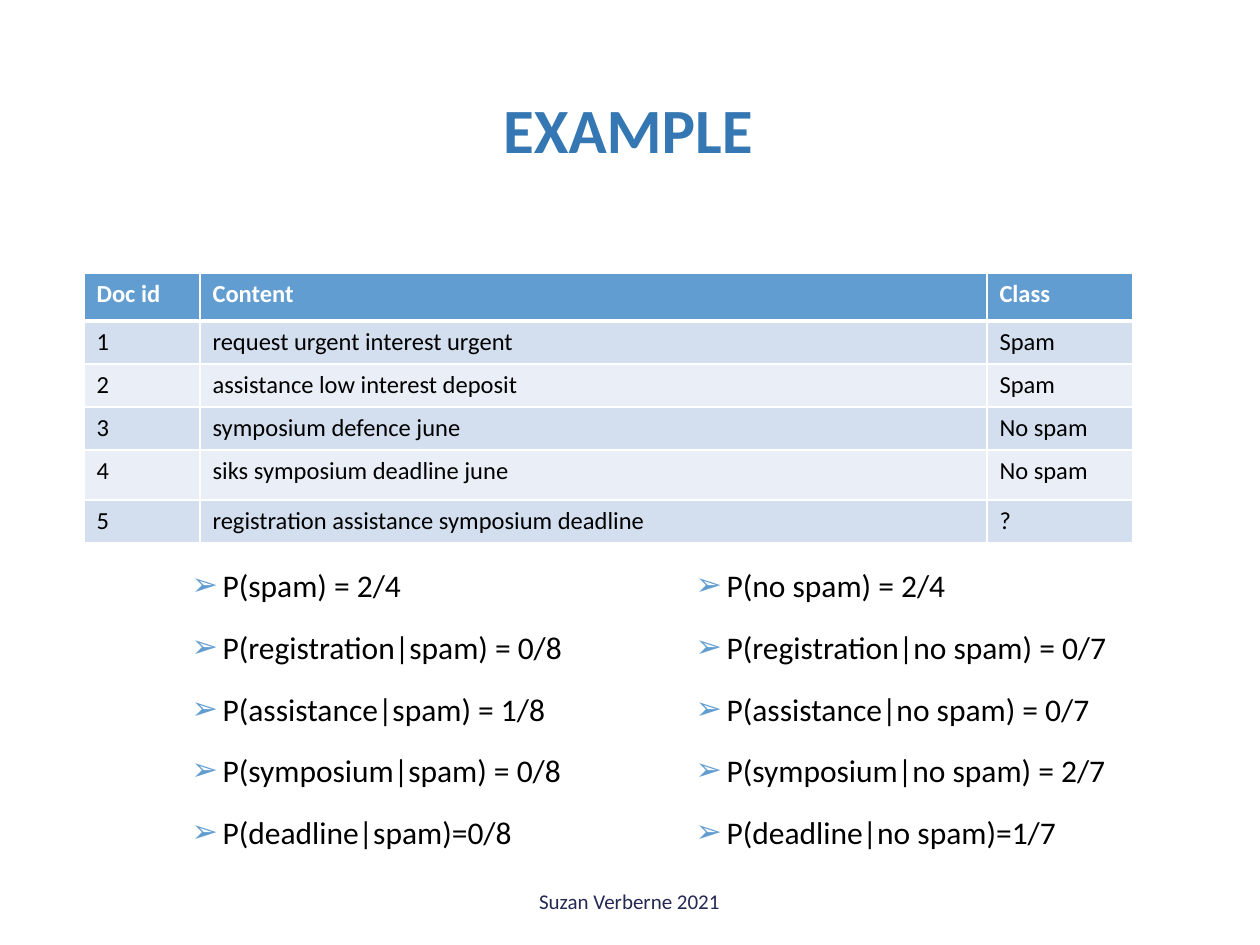
from lxml import etree
from pptx import Presentation
from pptx.dml.color import RGBColor
from pptx.enum.shapes import MSO_SHAPE
from pptx.enum.text import MSO_ANCHOR, MSO_AUTO_SIZE, PP_ALIGN
from pptx.oxml.ns import qn
from pptx.util import Emu, Pt

CENTER, LEFT = PP_ALIGN.CENTER, PP_ALIGN.LEFT
MIDDLE, TOP = MSO_ANCHOR.MIDDLE, MSO_ANCHOR.TOP
NO_AUTOFIT = MSO_AUTO_SIZE.NONE
RECTANGLE, ROUNDED = MSO_SHAPE.RECTANGLE, MSO_SHAPE.ROUNDED_RECTANGLE

PX = 914400 / 126
TWO_CONTENT_LAYOUT = 3
FIRST_SHAPE_POSITION = 2
FONT = "Calibri"
COLORS = {
    "title": "3477B2",
    "accent": "629DD1",
    "band_dark": "D3DFEE",
    "band_light": "EAEFF7",
    "text": "000000",
    "white": "FFFFFF",
    "footer": "242852",
}

DOCUMENTS = [
    ("Doc id", "Content", "Class"),
    ("1", "request urgent interest urgent", "Spam"),
    ("2", "assistance low interest deposit", "Spam"),
    ("3", "symposium defence june", "No spam"),
    ("4", "siks symposium deadline june", "No spam"),
    ("5", "registration assistance symposium deadline", "?"),
]
SPAM_PROBABILITIES = [
    "P(spam) = 2/4",
    "P(registration|spam) = 0/8",
    "P(assistance|spam) = 1/8",
    "P(symposium|spam) = 0/8",
    "P(deadline|spam)=0/8",
]
NO_SPAM_PROBABILITIES = [
    "P(no spam) = 2/4",
    "P(registration|no spam) = 0/7",
    "P(assistance|no spam) = 0/7",
    "P(symposium|no spam) = 2/7",
    "P(deadline|no spam)=1/7",
]


def px(length):
    return Emu(round(length * PX))


def rgb(name):
    return RGBColor.from_string(COLORS[name])


def add_color(parent, name):
    etree.SubElement(parent, qn("a:srgbClr"), val=COLORS[name])


def add_bullet(paragraph, char="➢", indent=31):
    properties = paragraph._p.get_or_add_pPr()
    properties.set("marL", str(px(indent)))
    properties.set("indent", str(-px(indent)))
    add_color(etree.SubElement(properties, qn("a:buClr")), "accent")
    etree.SubElement(properties, qn("a:buChar"), char=char)


def set_borders(cell, top=1, bottom=1):
    """Draw white cell borders; widths are in points."""
    properties = cell._tc.get_or_add_tcPr()
    widths = {"a:lnL": 1, "a:lnR": 1, "a:lnT": top, "a:lnB": bottom}
    for position, (tag, width) in enumerate(widths.items()):
        border = etree.Element(qn(tag), w=str(Pt(width)))
        add_color(etree.SubElement(border, qn("a:solidFill")), "white")
        properties.insert(position, border)


def write(frame, lines, size=18, color="text", bold=False, align=LEFT,
          anchor=TOP, bullets=False, space_before=0, line_spacing=1.0):
    """Fill a text frame with one paragraph per line."""
    frame.word_wrap = True
    frame.vertical_anchor = anchor
    for index, line in enumerate(lines):
        paragraph = frame.add_paragraph() if index else frame.paragraphs[0]
        paragraph.text = line
        if bullets:
            add_bullet(paragraph)
        paragraph.alignment = align
        paragraph.line_spacing = line_spacing
        paragraph.space_before = Pt(space_before if index else 0)
        font = paragraph.font
        font.name, font.size, font.bold = FONT, Pt(size), bold
        font.color.rgb = rgb(color)


class SlideBuilder:
    def __init__(self, presentation):
        layout = presentation.slide_layouts[TWO_CONTENT_LAYOUT]
        self.slide = presentation.slides.add_slide(layout)
        self.panel_count = 0

    def panel(self, kind, box, opacity=100, corner=None):
        """Add a white backing panel behind the text, above earlier panels."""
        shapes = self.slide.shapes
        panel = shapes.add_shape(kind, *map(px, box))
        panel.shadow.inherit = False
        panel.line.fill.background()
        panel.fill.solid()
        panel.fill.fore_color.rgb = rgb("white")
        if corner is not None:
            panel.adjustments[0] = corner
        if opacity < 100:
            color = panel._element.spPr.find(qn("a:solidFill"))[0]
            etree.SubElement(color, qn("a:alpha"), val=str(opacity * 1000))
        shapes._spTree.insert(FIRST_SHAPE_POSITION + self.panel_count,
                              panel._element)
        self.panel_count += 1

    def placeholder(self, idx, box, lines, **style):
        holder = self.slide.placeholders[idx]
        holder.left, holder.top, holder.width, holder.height = map(px, box)
        holder.text_frame.auto_size = NO_AUTOFIT
        write(holder.text_frame, lines, **style)

    def title(self, box, text):
        self.placeholder(0, box, [text], size=36, color="title", bold=True,
                         align=CENTER, anchor=MIDDLE)

    def bullet_list(self, idx, box, lines):
        self.placeholder(idx, box, lines, bullets=True, space_before=18,
                         line_spacing=0.8)

    def table(self, left, top, column_widths, row_heights, rows):
        box = (left, top, sum(column_widths), sum(row_heights))
        table = self.slide.shapes.add_table(
            len(rows), len(column_widths), *map(px, box)).table
        for column, width in zip(table.columns, column_widths):
            column.width = px(width)
        for row, height in zip(table.rows, row_heights):
            row.height = px(height)
        for r, row in enumerate(rows):
            header = r == 0
            fill = "accent" if header else "band_dark" if r % 2 else "band_light"
            for c, text in enumerate(row):
                cell = table.cell(r, c)
                cell.fill.solid()
                cell.fill.fore_color.rgb = rgb(fill)
                set_borders(cell, top=3 if r == 1 else 1, bottom=3 if header else 1)
                write(cell.text_frame, [text], size=14, bold=header,
                      color="white" if header else "text")

    def footer(self, box, text):
        frame = self.slide.shapes.add_textbox(*map(px, box)).text_frame
        write(frame, [text], size=12, color="footer", align=CENTER, anchor=MIDDLE)


def main():
    presentation = Presentation()
    presentation.slide_width, presentation.slide_height = px(1260), px(945)
    builder = SlideBuilder(presentation)
    builder.panel(ROUNDED, (23, 4, 1235, 919), corner=0.02)
    builder.panel(RECTANGLE, (38, 38, 1184, 183), opacity=83)
    builder.panel(RECTANGLE, (52, 52, 1155, 154))
    builder.title((59, 56, 1138, 144), "EXAMPLE")
    builder.bullet_list(1, (179, 567, 473, 262), SPAM_PROBABILITIES)
    builder.bullet_list(2, (683, 567, 483, 229), NO_SPAM_PROBABILITIES)
    builder.table(84, 273, [116, 787, 146], [48, 43, 43, 43, 50, 43], DOCUMENTS)
    builder.footer((430, 876, 399, 50), "Suzan Verberne 2021")
    presentation.save("out.pptx")


if __name__ == "__main__":
    main()
